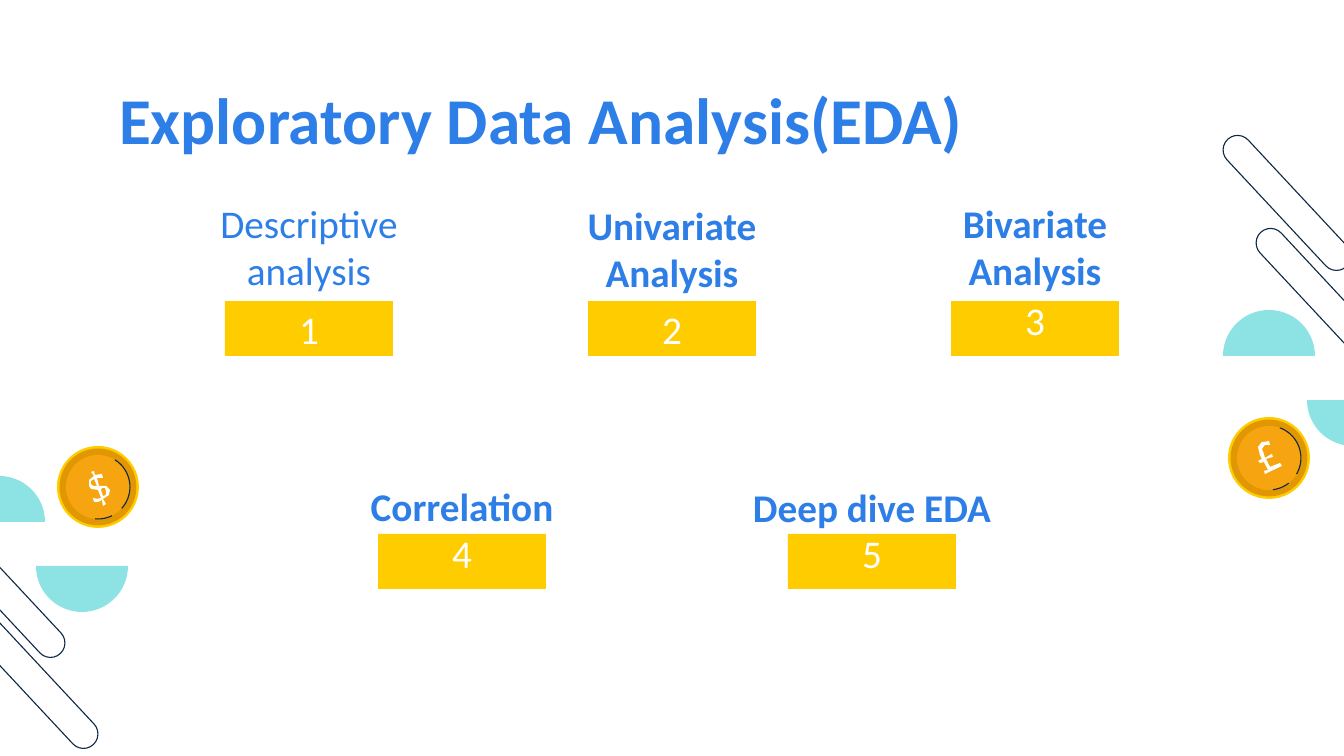
from math import cos, radians, sin

from pptx import Presentation
from pptx.dml.color import RGBColor
from pptx.enum.shapes import MSO_SHAPE as Shape
from pptx.enum.text import MSO_ANCHOR as Anchor
from pptx.enum.text import MSO_AUTO_SIZE as Fit
from pptx.enum.text import PP_ALIGN as Align
from pptx.util import Pt

PX = 914400 / 134.4  # EMU in one px
PAD = 13

BLUE = RGBColor(0x2D, 0x7E, 0xE7)
GOLD = RGBColor(0xFF, 0xCC, 0x00)
RIM = RGBColor(0xE1, 0x97, 0x02)
AMBER = RGBColor(0xF6, 0xA4, 0x10)
AQUA = RGBColor(0x8D, 0xE3, 0xE4)
NAVY = RGBColor(0x10, 0x28, 0x43)
WHITE = RGBColor(0xFF, 0xFF, 0xFF)

# Currency signs as contours around the centre of a coin
POUND = [[
    (0, -17), (-4, -16), (-7, -16), (-11, -11), (-9, -3), (-7, 1), (-11, 3),
    (-9, 5), (-5, 4), (-1, 12), (-5, 13), (-4, 16), (13, 8), (11, 5), (1, 9),
    (-3, 1), (4, -1), (3, -4), (-4, 0), (-5, -4), (-7, -9), (-4, -13), (1, -13),
]]
DOLLAR = [
    [(-4, -16), (-7, -15), (-4, -11), (-9, -7), (-9, -1), (-7, 2), (0, 3),
     (3, 11), (-1, 12), (-5, 11), (-4, 15), (0, 15), (4, 13), (5, 19), (8, 17),
     (5, 12), (11, 8), (12, 3), (8, -1), (1, -1), (-1, -9), (5, -9), (4, -13),
     (-3, -12)],
    [(-4, -8), (-1, -1), (-5, -1), (-7, -3), (-7, -6)],
    [(4, 1), (7, 1), (8, 4), (8, 8), (5, 9), (3, 3)],
]

# Centre x, label top, number top, label, bold, number, number anchor
STEPS = [
    (309, 251, 301, "Descriptive analysis", False, "1", Anchor.MIDDLE),
    (672, 253, 301, "Univariate\nAnalysis", True, "2", Anchor.MIDDLE),
    (1035, 251, 301, "Bivariate\nAnalysis", True, "3", Anchor.BOTTOM),
    (462, 487, 534, "Correlation", True, "4", Anchor.BOTTOM),
    (872, 488, 534, "Deep dive EDA", True, "5", Anchor.BOTTOM),
]
BARS = [(1320, 296), (1287, 203), (34, 681), (1, 590)]
DOMES = [(1269, 356, 180), (1353, 400, 0), (-1, 522, 180), (82, 566, 0)]
COINS = [(1269, 458, POUND, 0), (98, 487, DOLLAR, 12)]


def emu(*nums):
    return [round(n * PX) for n in nums]


def paint(shape, fill=None, line=None):
    shape.shadow.inherit = False
    if fill is None:
        shape.fill.background()
    else:
        shape.fill.solid()
        shape.fill.fore_color.rgb = fill
    if line is None:
        shape.line.fill.background()
    else:
        shape.line.color.rgb = line
        shape.line.width = Pt(0.59)


def put_text(shape, text, size, color, bold, anchor, align):
    frame = shape.text_frame
    look = {"word_wrap": True, "auto_size": Fit.NONE, "vertical_anchor": anchor}
    look |= {f"margin_{side}": emu(PAD)[0]
             for side in ("left", "right", "top", "bottom")}
    for name, value in look.items():
        setattr(frame, name, value)
    frame.text = text
    for para in frame.paragraphs:
        para.alignment = align
        font = para.runs[0].font
        for name, value in {"name": "Calibri", "size": Pt(size), "bold": bold}.items():
            setattr(font, name, value)
        font.color.rgb = color


def add_path(shapes, x, y, loops, close=True, **colors):
    """Draw one outline from loops of points set around (x, y)."""
    loops = [[emu(x + dx, y + dy) for dx, dy in loop] for loop in loops]
    pen = shapes.build_freeform(*loops[0][0], scale=1.0)
    for i, loop in enumerate(loops):
        if i:
            pen.move_to(*loop[0])
        pen.add_line_segments(loop[1:], close=close)
    paint(pen.convert_to_shape(), **colors)


def arc(r, start, end, steps=36):
    turns = [radians(start + (end - start) * i / steps) for i in range(steps + 1)]
    return [(r * cos(t), r * sin(t)) for t in turns]


def add_bar(shapes, x, y):
    wide, high = 174, 29
    bar = shapes.add_shape(Shape.ROUNDED_RECTANGLE,
                           *emu(x - wide / 2, y - high / 2, wide, high))
    bar.adjustments[0] = 0.5
    bar.rotation = 47
    paint(bar, line=NAVY)


def add_coin(shapes, x, y, sign, tilt):
    for r, color in ((41, GOLD), (38.5, RIM), (32, AMBER)):
        disc = shapes.add_shape(Shape.OVAL, *emu(x - r, y - r, 2 * r, 2 * r))
        paint(disc, fill=color)
    for start, end in ((-70, 30), (52, 83)):
        add_path(shapes, x, y, [arc(32, start + tilt, end + tilt)],
                 close=False, line=NAVY)
    add_path(shapes, x, y, sign, fill=WHITE)


def add_step(shapes, x, top, low, label, bold, number, anchor):
    box = shapes.add_textbox(*emu(x - 145, top, 290, 55))
    put_text(box, label, 21, BLUE, bold, Anchor.BOTTOM, Align.CENTER)
    tile = shapes.add_shape(Shape.RECTANGLE, *emu(x - 84, low, 168, 55))
    paint(tile, fill=GOLD)
    put_text(tile, number, 21, WHITE, False, anchor, Align.CENTER)


def add_title(shapes, text):
    title = shapes.title
    spots = zip(("left", "top", "width", "height"), emu(106, 66, 1133, 85))
    for name, value in spots:
        setattr(title, name, value)
    put_text(title, text, 35, BLUE, True, Anchor.TOP, Align.LEFT)


def main():
    deck = Presentation()
    deck.slide_width, deck.slide_height = emu(1344, 756)
    shapes = deck.slides.add_slide(deck.slide_layouts[5]).shapes

    # Side ornaments
    for spot in BARS:
        add_bar(shapes, *spot)
    for x, y, start in DOMES:
        add_path(shapes, x, y, [arc(46, start, start + 180)], fill=AQUA)
    for coin in COINS:
        add_coin(shapes, *coin)

    # Title and numbered steps
    add_title(shapes, "Exploratory Data Analysis(EDA)")
    for step in STEPS:
        add_step(shapes, *step)

    deck.save("out.pptx")


if __name__ == "__main__":
    main()
